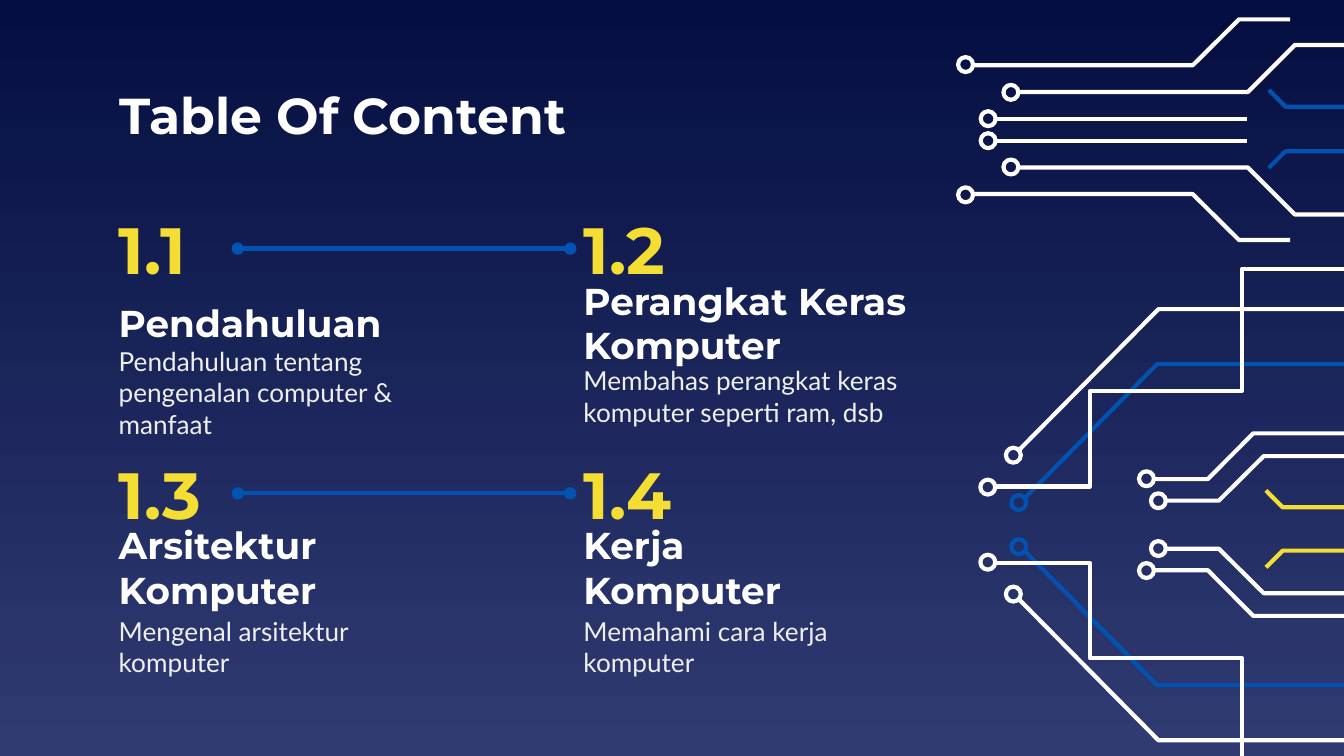
from lxml import etree
from pptx import Presentation
from pptx.dml.color import RGBColor
from pptx.enum.shapes import MSO_CONNECTOR, MSO_SHAPE
from pptx.enum.text import MSO_ANCHOR, MSO_AUTO_SIZE, PP_ALIGN
from pptx.oxml.ns import qn
from pptx.util import Pt

STRAIGHT = MSO_CONNECTOR.STRAIGHT
OVAL = MSO_SHAPE.OVAL
MIDDLE = MSO_ANCHOR.MIDDLE
NO_AUTOFIT = MSO_AUTO_SIZE.NONE
LEFT = PP_ALIGN.LEFT

NIGHT = RGBColor(0x04, 0x0E, 0x41)
INDIGO = RGBColor(0x30, 0x3B, 0x72)
WHITE = RGBColor(0xFF, 0xFF, 0xFF)
PALE = RGBColor(0xEF, 0xEF, 0xEF)
YELLOW = RGBColor(0xF5, 0xDE, 0x34)
BLUE = RGBColor(0x01, 0x52, 0xB1)

FRAME = {
    "word_wrap": True, "auto_size": NO_AUTOFIT, "vertical_anchor": MIDDLE,
    "margin_left": Pt(7.2), "margin_right": Pt(7.2),
    "margin_top": Pt(7.2), "margin_bottom": Pt(7.2),
}
TITLE = {"name": "Montserrat", "size": Pt(27), "bold": True}
NUMBER = {"name": "Montserrat", "size": Pt(35), "bold": True}
HEADING = {"name": "Montserrat", "size": Pt(20), "bold": True}
SUMMARY = {"name": "Lato", "size": Pt(14), "bold": False}

LINE_WIDTH = 2.25
RING = 8

COLUMNS = (56.5, 305.5)
ROWS = (112.3, 243.4)
CHAPTERS = [
    ("1.1", "Pendahuluan", "Pendahuluan tentang pengenalan computer & manfaat",
     173.5, 173.5, 77),
    ("1.2", "Perangkat Keras Komputer",
     "Membahas perangkat keras komputer seperti ram, dsb", 216, 228, 79),
    ("1.3", "Arsitektur Komputer", "Mengenal arsitektur komputer",
     173.5, 173.5, 82),
    ("1.4", "Kerja Komputer", "Memahami cara kerja komputer",
     173.5, 173.5, 82),
]

MAIN_TRACES = [
    (BLUE, (20.8, 125.3), [(23.8, 123.1), (94.9, 51.1), (208.8, 51.1)]),
    (WHITE, (4.2, 117), [(8.5, 116.6), (58.9, 116.6), (58.9, 65.5),
                         (140.3, 65.5), (140.3, 0), (209.4, 0)]),
    (WHITE, (17.9, 99.9), [(20.8, 97.2), (95.6, 21.6), (209.4, 21.6)]),
    (WHITE, (95.6, 124.3), [(98.5, 124.2), (128, 124.2), (152, 100.4),
                            (209.4, 100.4)]),
    (WHITE, (89.2, 112.5), [(92.8, 112.7), (122, 112.7), (146.4, 88.2),
                            (209.4, 88.2)]),
]
TOP_TRACES = [
    (WHITE, (4.3, 24.6), [(8.3, 25), (126, 25), (150.8, 0.4), (178.2, 0.4)]),
    (WHITE, (28.6, 39.5), [(32.8, 39.3), (155.5, 39.3), (180.7, 14.1),
                           (225, 14.1)]),
    (WHITE, (16.4, 53.6), [(20.5, 53.6), (155.2, 53.6)]),
]
TICK = [(0, 0), (9, 9), (49.7, 9)]


def apply(target, values):
    for attribute, value in values.items():
        setattr(target, attribute, value)


def place(shape, left, top, width, height):
    apply(shape, {"left": Pt(left), "top": Pt(top),
                  "width": Pt(width), "height": Pt(height)})


def write(shape, words, style, color):
    frame = shape.text_frame
    apply(frame, FRAME)
    paragraph = frame.paragraphs[0]
    paragraph.alignment = LEFT
    run = paragraph.add_run()
    run.text = words
    apply(run.font, style)
    run.font.color.rgb = color


def add_words(slide, left, top, width, height, words, style, color):
    box = slide.shapes.add_textbox(Pt(left), Pt(top), Pt(width), Pt(height))
    write(box, words, style, color)


def outline(shape, color):
    shape.line.color.rgb = color
    shape.line.width = Pt(LINE_WIDTH)


def add_line(slide, start, end, color):
    line = slide.shapes.add_connector(STRAIGHT, *map(Pt, (*start, *end)))
    outline(line, color)
    etree.SubElement(line._element.spPr, qn("a:effectLst"))
    return line


def add_trace(slide, points, color):
    if len(points) == 2:
        add_line(slide, *points, color)
        return
    start, *rest = [(Pt(x), Pt(y)) for x, y in points]
    builder = slide.shapes.build_freeform(*start)
    builder.add_line_segments(rest, close=False)
    trace = builder.convert_to_shape()
    trace.fill.background()
    trace.shadow.inherit = False
    outline(trace, color)


def add_ring(slide, center, color):
    x, y = center
    ring = slide.shapes.add_shape(OVAL, Pt(x - RING / 2), Pt(y - RING / 2),
                                  Pt(RING), Pt(RING))
    ring.fill.background()
    ring.shadow.inherit = False
    outline(ring, color)


def add_circuit(slide, left, top, height, traces):
    for mirrored in (False, True):
        def locate(point):
            x, y = point
            return left + x, top + (height - y if mirrored else y)

        for color, node, points in traces:
            add_trace(slide, [locate(point) for point in points], color)
            if node:
                add_ring(slide, locate(node), color)


def add_chapter(slide, left, top, chapter):
    number, heading, summary, heading_width, summary_width, summary_drop = chapter
    add_words(slide, left, top + 41.8, heading_width, 37.4,
              heading, HEADING, WHITE)
    add_words(slide, left, top, 71.3, 41.8, number, NUMBER, YELLOW)
    add_words(slide, left, top + summary_drop, summary_width, 41.8,
              summary, SUMMARY, PALE)


def add_link(slide, top):
    link = add_line(slide, (127.4, top), (COLUMNS[1], top), BLUE)
    ends = link.line._get_or_add_ln()
    for end in ("a:headEnd", "a:tailEnd"):
        etree.SubElement(ends, qn(end), type="oval")


def paint_background(slide):
    fill = slide.background.fill
    fill.gradient()
    fill.gradient_angle = 270
    for stop, color, position in zip(fill.gradient_stops, (NIGHT, INDIGO), (0, 1)):
        stop.color.rgb = color
        stop.position = position


def build_contents(slide):
    paint_background(slide)
    add_circuit(slide, 525, 144, 274.2, MAIN_TRACES)
    add_circuit(slide, 513, 10, 119, TOP_TRACES)
    add_circuit(slide, 678.2, 262.8, 41.2, [(YELLOW, None, TICK)])
    add_circuit(slide, 679.7, 48.2, 41.8, [(BLUE, None, TICK)])
    place(slide.shapes.title, 56.9, 42.5, 422.6, 37.4)
    write(slide.shapes.title, "Table Of Content", TITLE, WHITE)
    for index, chapter in enumerate(CHAPTERS):
        row, column = divmod(index, len(COLUMNS))
        add_chapter(slide, COLUMNS[column], ROWS[row], chapter)
    for top in ROWS:
        add_link(slide, top + 20.9)


def main():
    deck = Presentation()
    deck.slide_width, deck.slide_height = Pt(720), Pt(405)
    build_contents(deck.slides.add_slide(deck.slide_layouts[5]))
    deck.save("out.pptx")


if __name__ == "__main__":
    main()
